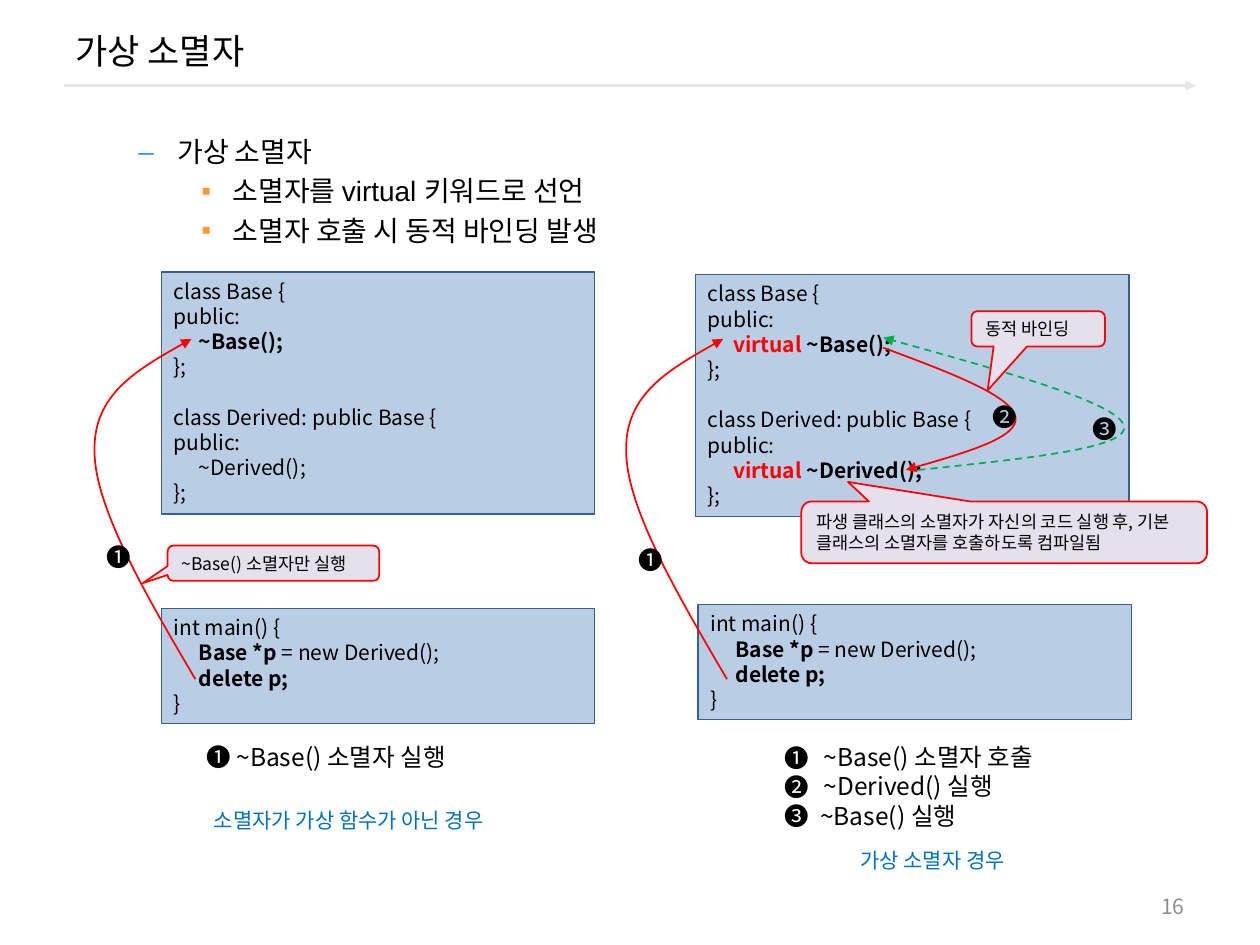
from pptx import Presentation
from pptx.dml.color import RGBColor
from pptx.enum.dml import MSO_LINE
from pptx.enum.shapes import MSO_CONNECTOR, MSO_SHAPE
from pptx.enum.text import MSO_ANCHOR, MSO_AUTO_SIZE, PP_ALIGN
from pptx.oxml.ns import qn
from pptx.util import Inches, Pt
from lxml import etree

RECTANGLE = MSO_SHAPE.RECTANGLE
CALLOUT = MSO_SHAPE.ROUNDED_RECTANGULAR_CALLOUT
STRAIGHT = MSO_CONNECTOR.STRAIGHT
DASH = MSO_LINE.DASH
TOP, MIDDLE = MSO_ANCHOR.TOP, MSO_ANCHOR.MIDDLE
LEFT, RIGHT = PP_ALIGN.LEFT, PP_ALIGN.RIGHT
FIT_SHAPE = MSO_AUTO_SIZE.SHAPE_TO_FIT_TEXT

FONT = "Noto Sans CJK KR"
COLORS = {
    "black": "000000", "red": "FF0000", "green": "00B050", "blue": "0070C0",
    "gray": "8C8C8C", "rule": "E6E6E6", "code": "B9CDE5", "border": "376092",
    "note": "E6E0EC", "dash": "3399FF", "square": "FF9933",
}


class SlideBuilder:
    def __init__(self, slide):
        self.slide = slide

    def color(self, name):
        return RGBColor.from_string(COLORS[name])

    def element(self, parent, tag, **attributes):
        return etree.SubElement(parent, qn(tag), attributes)

    def paragraph(self, frame, spans, size, color="black", font=FONT, before=0,
                  align=LEFT, indent=None, bullet=None, bullet_color=None, tab=None):
        first = frame.paragraphs[0]
        para = frame.add_paragraph() if first.runs else first
        para.alignment = align
        if before:
            para.space_before = Pt(before)
        properties = para._p.get_or_add_pPr()
        if bullet:
            margin, hanging = indent
            properties.set("marL", str(Inches(margin)))
            properties.set("indent", str(Inches(hanging)))
            if bullet_color:
                tint = self.element(properties, "a:buClr")
                self.element(tint, "a:srgbClr", val=COLORS[bullet_color])
            self.element(properties, "a:buFont", typeface=font)
            self.element(properties, "a:buChar", char=bullet)
        if tab:
            stops = self.element(properties, "a:tabLst")
            self.element(stops, "a:tab", pos=str(Inches(tab)), algn="l")
        para.font.name = font
        para.font.size = Pt(size)
        para.font.color.rgb = self.color(color)
        self.element(properties.find(qn("a:defRPr")), "a:ea", typeface=FONT)
        for text, *style in [(spans,)] if isinstance(spans, str) else spans:
            span = para.add_run()
            span.text = text
            if style:
                span.font.bold = True
                span.font.color.rgb = self.color(style[0])

    def text(self, left, top, width, height, anchor=TOP, wrap=True):
        box = self.slide.shapes.add_textbox(
            Inches(left), Inches(top), Inches(width), Inches(height))
        frame = box.text_frame
        frame.word_wrap = wrap
        frame.vertical_anchor = anchor
        if not wrap:
            frame.auto_size = FIT_SHAPE
        return frame

    def label(self, left, top, width, height, text, size=14, color="black"):
        self.paragraph(self.text(left, top, width, height, wrap=False), text, size, color)

    def shape(self, kind, bounds, fill, line, weight, anchor):
        shape = self.slide.shapes.add_shape(kind, *map(Inches, bounds))
        shape.shadow.inherit = False
        shape.fill.solid()
        shape.fill.fore_color.rgb = self.color(fill)
        shape.line.color.rgb = self.color(line)
        shape.line.width = Pt(weight)
        shape.text_frame.word_wrap = True
        shape.text_frame.vertical_anchor = anchor
        return shape

    def code(self, left, top, height, groups):
        box = self.shape(RECTANGLE, (left, top, 3.44, height), "code", "border", 0.75, TOP)
        for group_index, lines in enumerate(groups):
            for line_index, spans in enumerate(lines):
                before = 14.4 if group_index and not line_index else 0
                self.paragraph(box.text_frame, spans, 12, before=before, tab=0.2)

    def callout(self, bounds, tip, text):
        box = self.shape(CALLOUT, bounds, "note", "red", 1, MIDDLE)
        box.adjustments[0], box.adjustments[1] = tip
        self.paragraph(box.text_frame, text, 10)

    def arrowhead(self, shape):
        self.element(shape.line._get_or_add_ln(), "a:tailEnd", type="triangle")

    def rule(self, start, end, y):
        rule = self.slide.shapes.add_connector(
            STRAIGHT, Inches(start), Inches(y), Inches(end), Inches(y))
        rule.line.color.rgb = self.color("rule")
        rule.line.width = Pt(1.5)
        self.arrowhead(rule)
        self.element(rule._element.spPr, "a:effectLst")

    def curve(self, points, color, dashed=False):
        corners = [(Inches(x), Inches(y)) for x, y in points]
        builder = self.slide.shapes.build_freeform(*corners[0])
        builder.add_line_segments(corners[1:], close=False)
        shape = builder.convert_to_shape()
        segments = list(shape._element.iter(qn("a:lnTo")))
        outline = segments[0].getparent()
        for start in range(0, len(segments), 3):
            bezier = self.element(outline, "a:cubicBezTo")
            for segment in segments[start:start + 3]:
                bezier.append(segment[0])
                outline.remove(segment)
        shape.shadow.inherit = False
        shape.fill.background()
        shape.line.color.rgb = self.color(color)
        shape.line.width = Pt(1)
        if dashed:
            shape.line.dash_style = DASH
        self.arrowhead(shape)


def class_lines(declaration, destructor):
    return [declaration, "public:", destructor, "};"]


def main():
    deck = Presentation()
    deck.slide_width, deck.slide_height = Inches(10), Inches(7.5)
    page = SlideBuilder(deck.slides.add_slide(deck.slide_layouts[6]))

    page.rule(0.51, 9.49, 0.68)
    page.paragraph(page.text(0.5, 0.08, 9, 0.64, MIDDLE), "가상 소멸자", 20)
    page.paragraph(page.text(7.17, 7.03, 2.33, 0.32, MIDDLE), "16", 12, "gray", align=RIGHT)

    body = page.text(0.5, 1.02, 9, 1.1)
    page.paragraph(body, "가상 소멸자", 16, font="Arial",
                   indent=(0.81, -0.31), bullet="–", bullet_color="dash")
    for point in ("소멸자를 virtual 키워드로 선언", "소멸자 호출 시 동적 바인딩 발생"):
        page.paragraph(body, point, 16, font="Arial", before=3.2,
                       indent=(1.25, -0.25), bullet="▪", bullet_color="square")

    base, derived = "class Base {", "class Derived: public Base {"
    virtual = ("\t",), ("virtual ", "red")
    page.code(5.52, 2.18, 1.92, [
        class_lines(base, [*virtual, ("~Base();", "black")]),
        class_lines(derived, [*virtual, ("~Derived();", "black")])])
    page.code(1.28, 2.16, 1.92, [
        class_lines(base, [("\t",), ("~Base();", "black")]),
        class_lines(derived, "\t~Derived();")])
    main_lines = [
        "int main() {",
        [("\t",), ("Base *p ", "black"), ("= new Derived();",)],
        [("\t",), ("delete p;", "black")],
        "}"]
    for left, top in ((1.28, 4.83), (5.54, 4.8)):
        page.code(left, top, 0.91, [main_lines])

    page.curve([(7.29, 3.73), (8.13, 3.64), (8.97, 3.56), (8.92, 3.38),
                (8.88, 3.2), (7.94, 2.94), (7.01, 2.68)], "green", dashed=True)
    delete_call = [(1.55, 5.39), (1.15, 4.71), (0.75, 4.02), (0.75, 3.58),
                   (0.74, 3.13), (1.13, 2.91), (1.52, 2.69)]
    for shift in (0, 4.22):
        page.curve([(x + shift, y) for x, y in delete_call], "red")
    page.callout((1.33, 4.33, 1.68, 0.28), (-0.617, 0.565), "~Base() 소멸자만 실행")
    page.curve([(7.01, 2.76), (7.52, 2.95), (8.03, 3.14), (8.06, 3.31),
                (8.09, 3.47), (7.64, 3.6), (7.19, 3.73)], "red")
    page.callout((7.71, 2.47, 1.06, 0.28), (-0.378, 1.746), "동적 바인딩")

    for left, top, number in ((0.75, 4.25, "❶"), (4.97, 4.28, "❶"),
                              (7.78, 3.14, "❷"), (8.57, 3.24, "❸")):
        page.label(left, top, 0.38, 0.34, number)
    page.callout((6.36, 3.98, 3.22, 0.49), (-0.385, -0.817),
                 "파생 클래스의 소멸자가 자신의 코드 실행 후, 기본 클래스의 소멸자를 호출하도록 컴파일됨")

    page.label(1.6, 6.36, 2.63, 0.3, "소멸자가 가상 함수가 아닌 경우", 12, "blue")
    page.label(6.73, 6.68, 1.5, 0.3, "가상 소멸자 경우", 12, "blue")
    page.label(1.54, 5.84, 2.23, 0.34, "❶ ~Base() 소멸자 실행")
    steps = page.text(6.13, 5.84, 2.3, 0.81, wrap=False)
    for number, step in (("❶", "~Base() 소멸자 호출"), ("❷", "~Derived() 실행")):
        page.paragraph(steps, step, 14, indent=(0.31, -0.31), bullet=number)
    page.paragraph(steps, "❸  ~Base() 실행", 14)

    deck.save("out.pptx")


if __name__ == "__main__":
    main()
